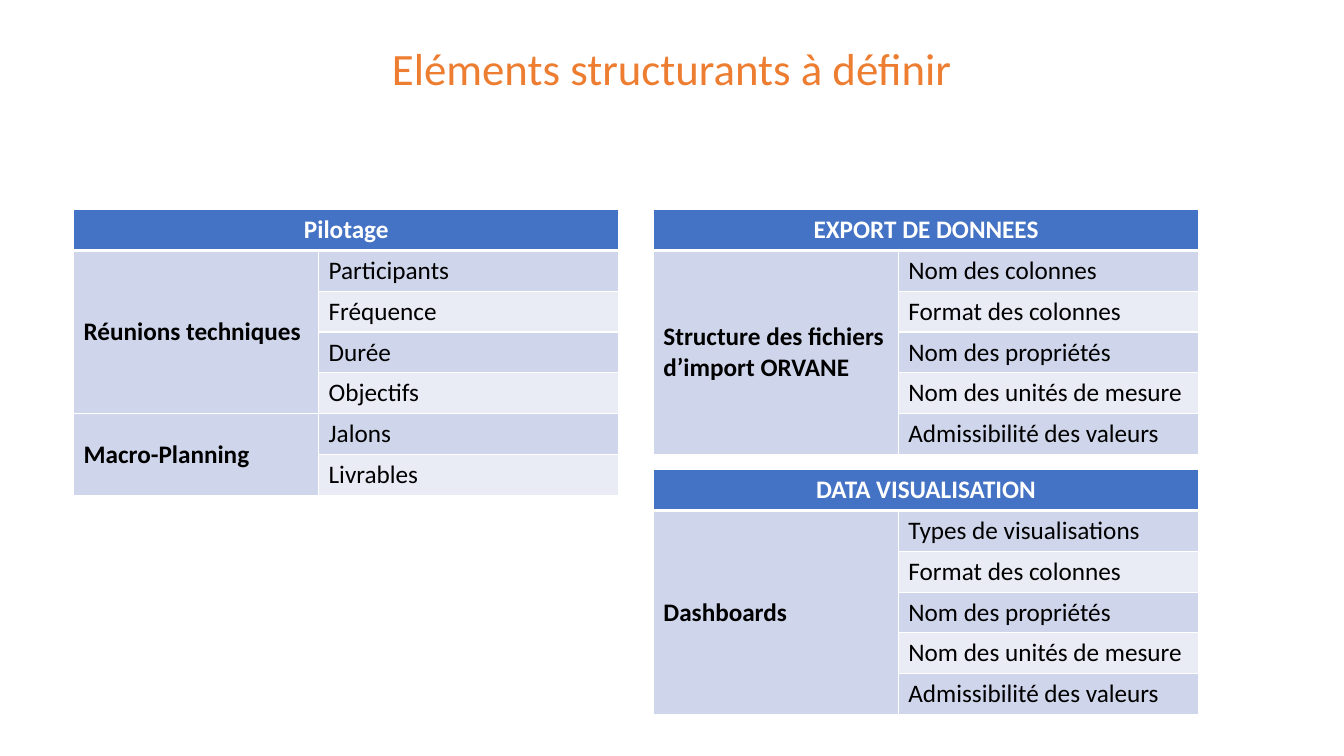
from lxml import etree
from pptx import Presentation
from pptx import util as u
from pptx.dml.color import RGBColor
from pptx.enum import text
from pptx.oxml.ns import qn

TITLE = "Eléments structurants à définir"
COMMON_ITEMS = ["Format des colonnes", "Nom des propriétés",
                "Nom des unités de mesure", "Admissibilité des valeurs"]
TABLES = [
    {"left": 6.48, "top": 2.08, "header": "EXPORT DE DONNEES",
     "groups": [("Structure des fichiers d’import ORVANE",
                 ["Nom des colonnes"] + COMMON_ITEMS)]},
    {"left": 6.48, "top": 4.66, "header": "DATA VISUALISATION",
     "groups": [("Dashboards", ["Types de visualisations"] + COMMON_ITEMS)]},
    {"left": 0.73, "top": 2.08, "header": "Pilotage",
     "groups": [("Réunions techniques",
                 ["Participants", "Fréquence", "Durée", "Objectifs"]),
                ("Macro-Planning", ["Jalons", "Livrables"])]},
]
COLORS = {"title": "ED7D31", "header": "4472C4", "odd": "CFD5EA",
          "even": "E9EBF5", "white": "FFFFFF", "black": "000000"}
FONT = "Calibri"
COLUMN_WIDTHS = (2.43, 2.98)
ROW_HEIGHT = 0.405


def color(name):
    return RGBColor.from_string(COLORS[name])


def style_paragraph(para, size, color_name, bold=False, align=text.PP_ALIGN.LEFT):
    para.alignment = align
    para.font.name = FONT
    para.font.size = u.Pt(size)
    para.font.bold = bold
    para.font.color.rgb = color(color_name)


def style_cell(cell, fill, row):
    properties = cell._tc.get_or_add_tcPr()
    widths = {"lnL": 1, "lnR": 1, "lnT": 3 if row == 1 else 1,
              "lnB": 3 if row == 0 else 1}
    for side, width in widths.items():
        line = etree.SubElement(properties, qn("a:" + side), w=str(u.Pt(width)))
        solid = etree.SubElement(line, qn("a:solidFill"))
        etree.SubElement(solid, qn("a:srgbClr"), val=COLORS["white"])
    cell.fill.solid()
    cell.fill.fore_color.rgb = color(fill)


def write_cell(cell, words, color_name, **style):
    cell.text = words
    style_paragraph(cell.text_frame.paragraphs[0], 18, color_name, **style)


def add_title(page):
    box = page.shapes.add_textbox(0, u.Inches(0.05), u.Inches(13.33), u.Inches(1.31))
    frame = box.text_frame
    frame.word_wrap = True
    frame.vertical_anchor = text.MSO_ANCHOR.MIDDLE
    para = frame.paragraphs[0]
    para.text = TITLE
    para.line_spacing = 0.9
    style_paragraph(para, 32, "title", align=text.PP_ALIGN.CENTER)


def add_group_table(page, content):
    row_count = 1 + sum(len(items) for _, items in content["groups"])
    table = page.shapes.add_table(
        row_count, len(COLUMN_WIDTHS), u.Inches(content["left"]),
        u.Inches(content["top"]), u.Inches(sum(COLUMN_WIDTHS)),
        u.Inches(ROW_HEIGHT * row_count)).table
    for column, width in zip(table.columns, COLUMN_WIDTHS):
        column.width = u.Inches(width)
    for index, row in enumerate(table.rows):
        row.height = u.Inches(ROW_HEIGHT)
        band = "header" if index == 0 else "odd" if index % 2 else "even"
        label_fill = "header" if index == 0 else "odd"
        for cell, fill in zip(row.cells, (label_fill, band)):
            style_cell(cell, fill, index)

    header = table.cell(0, 0)
    header.merge(table.cell(0, 1))
    write_cell(header, content["header"], "white", bold=True,
               align=text.PP_ALIGN.CENTER)
    first = 1
    for label, items in content["groups"]:
        label_cell = table.cell(first, 0)
        label_cell.merge(table.cell(first + len(items) - 1, 0))
        label_cell.vertical_anchor = text.MSO_ANCHOR.MIDDLE
        write_cell(label_cell, label, "black", bold=True)
        for index, item in enumerate(items, first):
            write_cell(table.cell(index, 1), item, "black")
        first += len(items)


def main():
    deck = Presentation()
    deck.slide_width = u.Inches(13.33)
    deck.slide_height = u.Inches(7.5)
    page = deck.slides.add_slide(deck.slide_layouts[6])
    add_title(page)
    for content in TABLES:
        add_group_table(page, content)
    deck.save("out.pptx")


if __name__ == "__main__":
    main()
